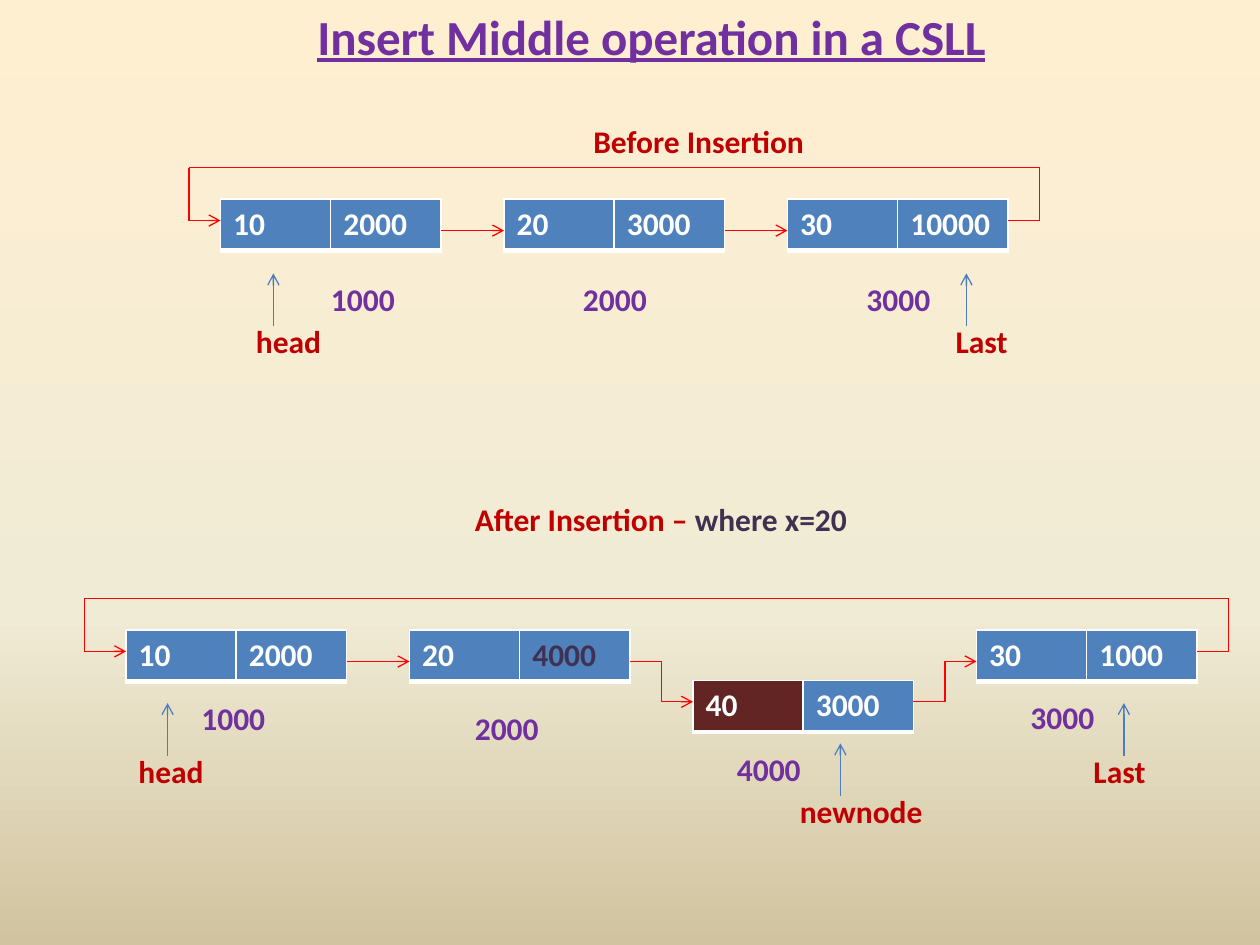
from copy import deepcopy
from dataclasses import dataclass
from itertools import pairwise

from lxml.etree import SubElement, Element
from pptx import Presentation
from pptx.dml.color import RGBColor
from pptx.enum.shapes import MSO_CONNECTOR as Route
from pptx.enum.text import MSO_AUTO_SIZE as AutoSize, PP_ALIGN as Align
from pptx.oxml.ns import qn
from pptx.util import Inches, Pt

PURPLE, CRIMSON, DARK = "7030A0", "C00000", "403152"
BLUE, MAROON, WHITE = "4F81BD", "632523", "FFFFFF"
LINK_RED, POINTER_BLUE = "FF0000", "4B7EBC"
NODE_WIDTH, NODE_HEIGHT, LOOP_DROP, POINTER_LENGTH = 1.75, 0.41, 0.42, 0.42


@dataclass
class Node:
    """A list node placed relative to the box of its list."""
    left: float
    data: str
    link: str
    top: float = 0.25
    port: float = 0.25
    data_fill: str = BLUE
    link_color: str = WHITE


def rgb(color):
    """Turn a hex string into a colour."""
    return RGBColor.from_string(color)


def add_run(paragraph, text, color, **extra):
    """Add a bold Calibri run."""
    run = paragraph.add_run()
    run.text = text
    run.font.color.rgb = rgb(color)
    for key, value in ({"name": "Calibri", "size": Pt(18), "bold": True} | extra).items():
        setattr(run.font, key, value)


def add_label(slide, left, top, width, runs, align=Align.LEFT, height=0.4, **extra):
    """Add a text box made of (text, colour) runs."""
    label = slide.shapes.add_textbox(Inches(left), Inches(top), Inches(width), Inches(height))
    frame = label.text_frame
    for key, value in {"word_wrap": True, "auto_size": AutoSize.SHAPE_TO_FIT_TEXT}.items():
        setattr(frame, key, value)
    paragraph = frame.paragraphs[0]
    paragraph.alignment = align
    for text, color in runs:
        add_run(paragraph, text, color, **extra)


def add_line(slide, start, end, color=LINK_RED, arrow=True, route=Route.STRAIGHT):
    """Add a thin connector, with an open arrowhead if wanted."""
    line = slide.shapes.add_connector(route, *map(Inches, start + end))
    line.line.color.rgb = rgb(color)
    line.line.width = Pt(0.75)
    if arrow:
        SubElement(line.line._get_or_add_ln(), qn("a:tailEnd"), type="arrow")
    SubElement(line._element.spPr, qn("a:effectLst"))


def set_borders(cell):
    """Give a cell white borders with a heavy bottom edge."""
    properties = cell._tc.get_or_add_tcPr()
    for index, (side, width) in enumerate({"L": 1, "R": 1, "T": 1, "B": 3}.items()):
        border = Element(qn(f"a:ln{side}"), w=str(Pt(width)))
        fill = SubElement(border, qn("a:solidFill"))
        SubElement(fill, qn("a:srgbClr"), val=WHITE)
        properties.insert(index, border)


def add_node(slide, left, top, node):
    """Draw a node as a table with a data cell and a link cell."""
    table = slide.shapes.add_table(
        1, 2, Inches(left + node.left), Inches(top + node.top),
        Inches(NODE_WIDTH), Inches(NODE_HEIGHT)).table
    for key in ("first_row", "horz_banding"):
        setattr(table, key, False)
    fields = ((node.data, node.data_fill, WHITE), (node.link, BLUE, node.link_color))
    for cell, (text, fill, color) in zip(table.rows[0].cells, fields):
        cell.fill.solid()
        cell.fill.fore_color.rgb = rgb(fill)
        set_borders(cell)
        add_run(cell.text_frame.paragraphs[0], text, color)


def add_loop(slide, left, top, width, first, last):
    """Draw the link that runs from the last node back to the first."""
    right, bottom = left + width, top + LOOP_DROP
    add_line(slide, (left, top), (right, top), arrow=False)
    for side in (left, right):
        add_line(slide, (side, top), (side, bottom), arrow=False)
    add_line(slide, (left, bottom), (left + first.left, bottom))
    add_line(slide, (right, bottom), (left + last.left + NODE_WIDTH, bottom), arrow=False)


def add_list(slide, left, top, width, nodes, addresses, pointers, align):
    """Draw a circular list with its links, addresses and pointers."""
    for node in nodes:
        add_node(slide, left, top, node)
    for source, target in pairwise(nodes):
        add_line(slide,
                 (left + source.left + NODE_WIDTH, top + source.top + source.port),
                 (left + target.left, top + target.top + target.port),
                 route=Route.STRAIGHT if source.top == target.top else Route.ELBOW)
    add_loop(slide, left, top, width, nodes[0], nodes[-1])
    for text, x, y in addresses:
        add_label(slide, left + x, top + y, 0.92, [(text, PURPLE)], align)
    for text, x, tip, label_x, label_width in pointers:
        base = tip + POINTER_LENGTH
        add_line(slide, (left + x, top + base), (left + x, top + tip), POINTER_BLUE)
        add_label(slide, left + label_x, top + base - 0.08, label_width, [(text, CRIMSON)], align)


def add_before(slide, left, top, width):
    """Draw the list before the insertion."""
    add_label(slide, left + 2.92, top - 0.41, 2.25, [("Before Insertion", CRIMSON)], Align.CENTER)
    nodes = [Node(0.25, "10", "2000"), Node(2.5, "20", "3000"), Node(4.75, "30", "10000")]
    addresses = [("1000", 0.92, 0.84), ("2000", 2.92, 0.84), ("3000", 5.17, 0.84)]
    pointers = [("head", 0.67, 0.84, 0.33, 0.92), ("Last", 6.17, 0.84, 5.83, 0.92)]
    add_list(slide, left, top, width, nodes, addresses, pointers, Align.CENTER)


def add_after(slide, left, top, width):
    """Draw the list after the insertion."""
    add_label(slide, left + 3, top - 0.83, 4.25,
              [("After Insertion – ", CRIMSON), ("where x=20", DARK)])
    nodes = [Node(0.33, "10", "2000"),
             Node(2.58, "20", "4000", link_color=DARK),
             Node(4.83, "40", "3000", top=0.65, port=0.17, data_fill=MAROON),
             Node(7.08, "30", "1000")]
    addresses = [("1000", 0.83, 0.75), ("2000", 3, 0.83),
                 ("4000", 5.08, 1.15), ("3000", 7.41, 0.74)]
    pointers = [("head", 0.66, 0.83, 0.33, 0.92),
                ("newnode", 6, 1.15, 5.58, 1.33),
                ("Last", 8.25, 0.83, 7.91, 0.92)]
    add_list(slide, left, top, width, nodes, addresses, pointers, Align.LEFT)


def set_background(slide):
    """Fill the background with a vertical sand gradient."""
    fill = slide.background.fill
    fill.gradient()
    fill.gradient_angle = 270
    stop_list = slide.element.find(".//" + qn("a:gsLst"))
    stop_list.append(deepcopy(stop_list[-1]))
    stops = ((0, "FFEFD1"), (0.65, "F0EBD5"), (1, "D1C39F"))
    for stop, (position, color) in zip(fill.gradient_stops, stops):
        stop.position = position
        stop.color.rgb = rgb(color)


def main():
    """Build and save the slide."""
    deck = Presentation()
    deck.slide_width, deck.slide_height = Inches(10), Inches(7.5)
    slide = deck.slides.add_slide(deck.slide_layouts[6])
    set_background(slide)
    add_label(slide, 2.42, 0, 6.17, [("Insert Middle operation in a CSLL", PURPLE)],
              height=0.57, size=Pt(28), underline=True)
    add_before(slide, 1.5, 1.33, 6.75)
    add_after(slide, 0.67, 4.75, 9.08)
    deck.save("out.pptx")


if __name__ == "__main__":
    main()
